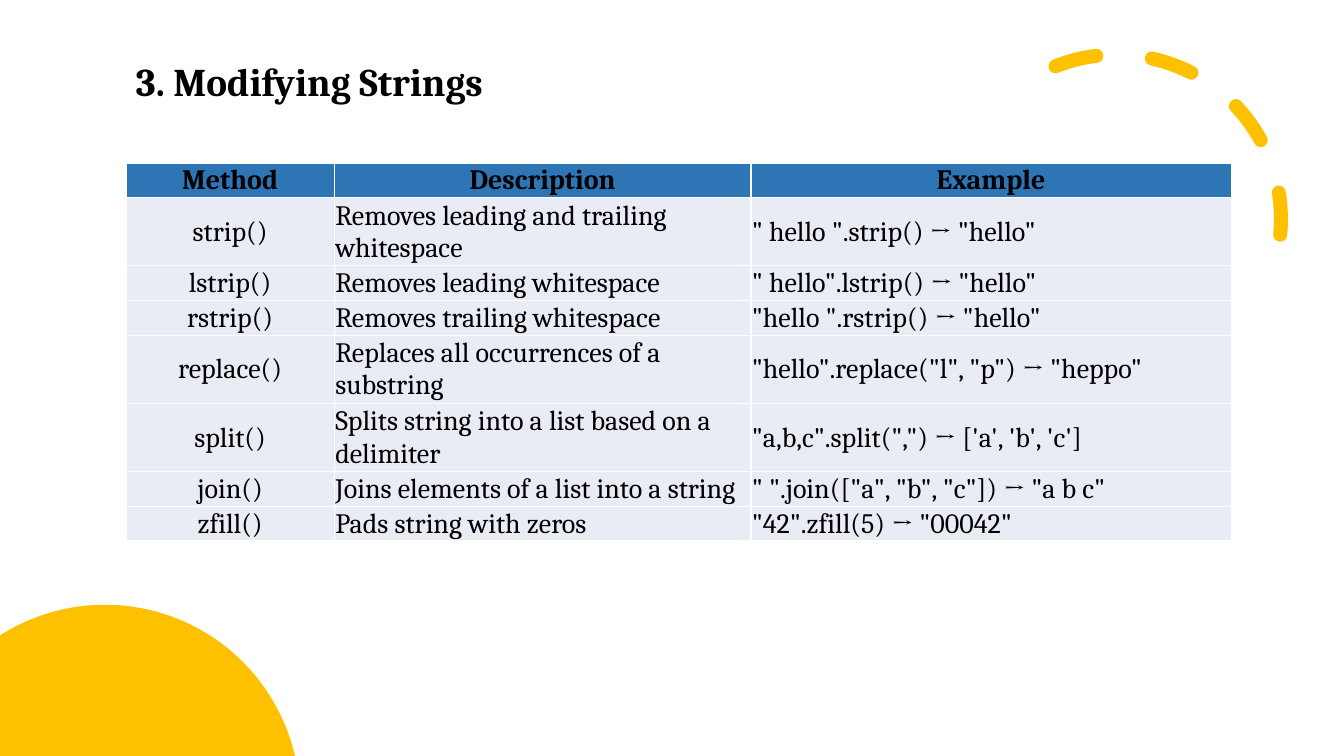
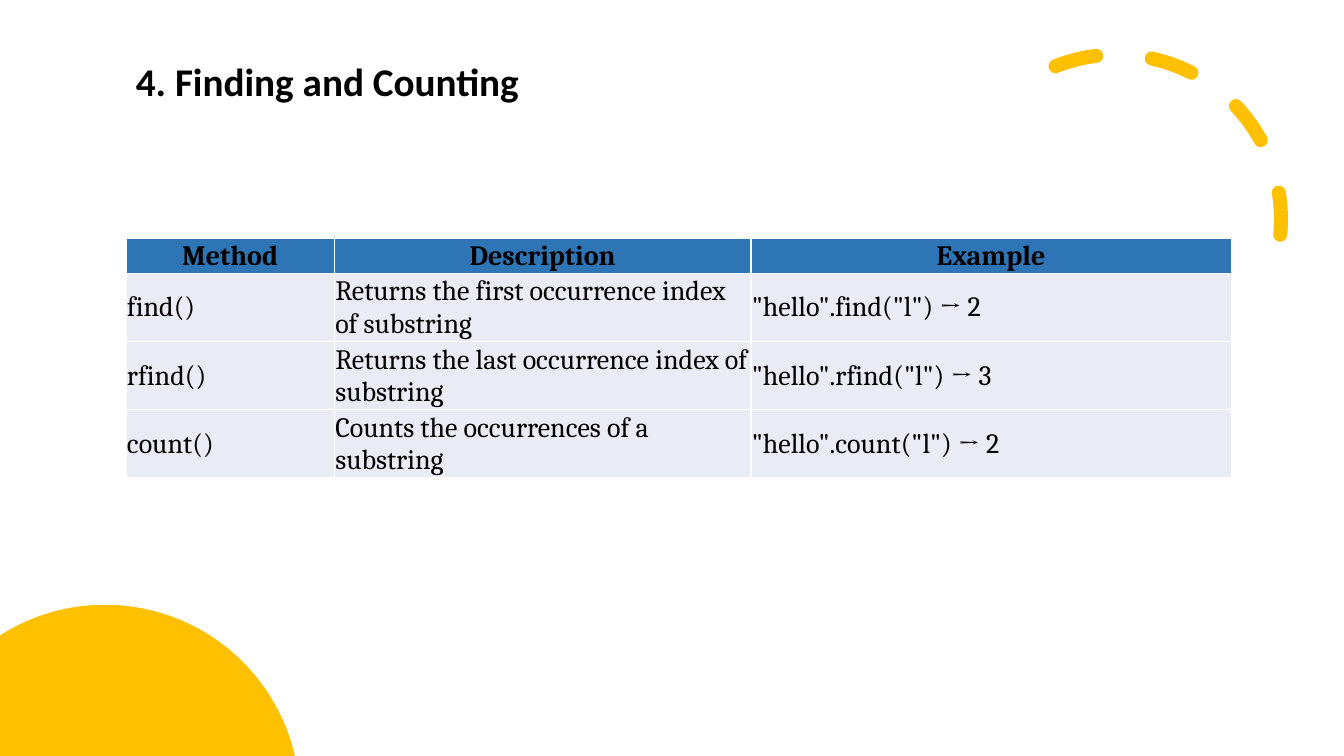
from math import acos, asin, cos, pi, sin

from lxml.etree import SubElement
from pptx import Presentation
from pptx.dml.color import RGBColor
from pptx.enum.dml import MSO_LINE
from pptx.enum.shapes import MSO_SHAPE
from pptx.enum.text import MSO_ANCHOR, MSO_AUTO_SIZE, PP_ALIGN
from pptx.oxml.ns import qn
from pptx.util import Inches, Pt

# Grid: 16 columns by 9 rows of square units
COLS, ROWS = 16, 9
UNIT = 762000
LEFT = 1.5
WIDTHS = (2.48, 4.96, 5.72)
ROW = 0.24  # least height; rows grow with their text

# Style
GOLD, BLUE, PALE, WHITE, BLACK = "FFC000", "2E75B6", "E9EBF5", "FFFFFF", "000000"
SERIF, SANS = "Cambria", "Calibri"
HEAD = ("Method", "Description", "Example")


def grid(count):
    return round(count * UNIT)


def color(code):
    return RGBColor.from_string(code)


class Deck:
    def __init__(self):
        self.file = Presentation()
        self.file.slide_width = grid(COLS)
        self.file.slide_height = grid(ROWS)
        self.slide = None

    def page(self):
        """Start a slide with the shared decoration."""
        self.slide = self.file.slides.add_slide(self.file.slide_layouts[6])
        self.arc(11.33, 0.65, 3.92)
        self.sun(1.25, 9.52, 2.32)

    def arc(self, left, top, size):
        """Draw the dashed arc in the upper right corner."""
        arc = self.slide.shapes.add_shape(
            MSO_SHAPE.ARC, grid(left), grid(top), grid(size), grid(size))
        arc.adjustments[0] = 144.42
        arc.adjustments[1] = 0
        arc.rotation = 66.1
        arc.shadow.inherit = False
        arc.fill.background()
        arc.line.color.rgb = color(GOLD)
        arc.line.width = Pt(10)
        arc.line.dash_style = MSO_LINE.DASH
        props = arc._element.spPr
        props.find(qn("a:xfrm")).set("flipH", "1")
        props.find(qn("a:ln")).set("cap", "rnd")

    def sun(self, mid, low, rad, steps=90):
        """Draw the part of a disc that lies on the slide."""
        first = -asin(mid / rad)
        last = acos((low - ROWS) / rad)
        turns = [first + (last - first) * i / steps for i in range(steps + 1)]
        edge = [(grid(mid + rad * sin(t)), grid(low - rad * cos(t))) for t in turns]
        form = self.slide.shapes.build_freeform(0, grid(ROWS))
        form.add_line_segments(edge, close=True)
        disc = form.convert_to_shape()
        disc.shadow.inherit = False
        disc.fill.solid()
        disc.fill.fore_color.rgb = color(GOLD)
        disc.line.fill.background()

    def text(self, para, words, size, font=SERIF, bold=False):
        """Add one run to a paragraph."""
        run = para.add_run()
        run.text = words
        run.font.name = font
        run.font.size = Pt(size)
        run.font.bold = bold
        run.font.color.rgb = color(BLACK)

    def title(self, words, font=SERIF):
        box = self.slide.shapes.add_textbox(
            grid(LEFT), grid(0.62), grid(5.52), grid(0.68))
        frame = box.text_frame
        frame.word_wrap = True
        frame.auto_size = MSO_AUTO_SIZE.SHAPE_TO_FIT_TEXT
        self.text(frame.paragraphs[0], words, 28, font, True)

    def table(self, top, body, align):
        """Add a table; align places the method names."""
        data = [HEAD, *body]
        table = self.slide.shapes.add_table(
            len(data), len(HEAD), grid(LEFT), grid(top),
            grid(sum(WIDTHS)), grid(ROW * len(data))).table
        for col, width in zip(table.columns, WIDTHS):
            col.width = grid(width)
        for r, line in enumerate(data):
            for c, words in enumerate(line):
                place = PP_ALIGN.CENTER if r == 0 else align if c == 0 else PP_ALIGN.LEFT
                self.cell(table.cell(r, c), words, place, r == 0)

    def cell(self, cell, words, align, head):
        cell.margin_left = cell.margin_top = cell.margin_right = Inches(0.01)
        cell.margin_bottom = 0
        cell.vertical_anchor = MSO_ANCHOR.MIDDLE
        # Borders come before the fill
        props = cell._tc.get_or_add_tcPr()
        for side in "LRTB":
            line = SubElement(props, qn(f"a:ln{side}"), w=str(Pt(1)))
            fill = SubElement(line, qn("a:solidFill"))
            SubElement(fill, qn("a:srgbClr"), val=WHITE)
        cell.fill.solid()
        cell.fill.fore_color.rgb = color(BLUE if head else PALE)
        para = cell.text_frame.paragraphs[0]
        para.alignment = align
        self.text(para, words, 20, bold=head)


def main():
    deck = Deck()

    # Modifying strings
    deck.page()
    deck.title("3. Modifying Strings")
    deck.table(1.94, [
        ("strip()", "Removes leading and trailing whitespace",
         '" hello ".strip() → "hello"'),
        ("lstrip()", "Removes leading whitespace", '" hello".lstrip() → "hello"'),
        ("rstrip()", "Removes trailing whitespace", '"hello ".rstrip() → "hello"'),
        ("replace()", "Replaces all occurrences of a substring",
         '"hello".replace("l", "p") → "heppo"'),
        ("split()", "Splits string into a list based on a delimiter",
         "\"a,b,c\".split(\",\") → ['a', 'b', 'c']"),
        ("join()", "Joins elements of a list into a string",
         '" ".join(["a", "b", "c"]) → "a b c"'),
        ("zfill()", "Pads string with zeros", '"42".zfill(5) → "00042"'),
    ], PP_ALIGN.CENTER)

    # Finding and counting
    deck.page()
    deck.title("4. Finding and Counting", SANS)
    deck.table(2.84, [
        ("find()", "Returns the first occurrence index of substring",
         '"hello".find("l") → 2'),
        ("rfind()", "Returns the last occurrence index of substring",
         '"hello".rfind("l") → 3'),
        ("count()", "Counts the occurrences of a substring",
         '"hello".count("l") → 2'),
    ], PP_ALIGN.LEFT)

    deck.file.save("out.pptx")


if __name__ == "__main__":
    main()
